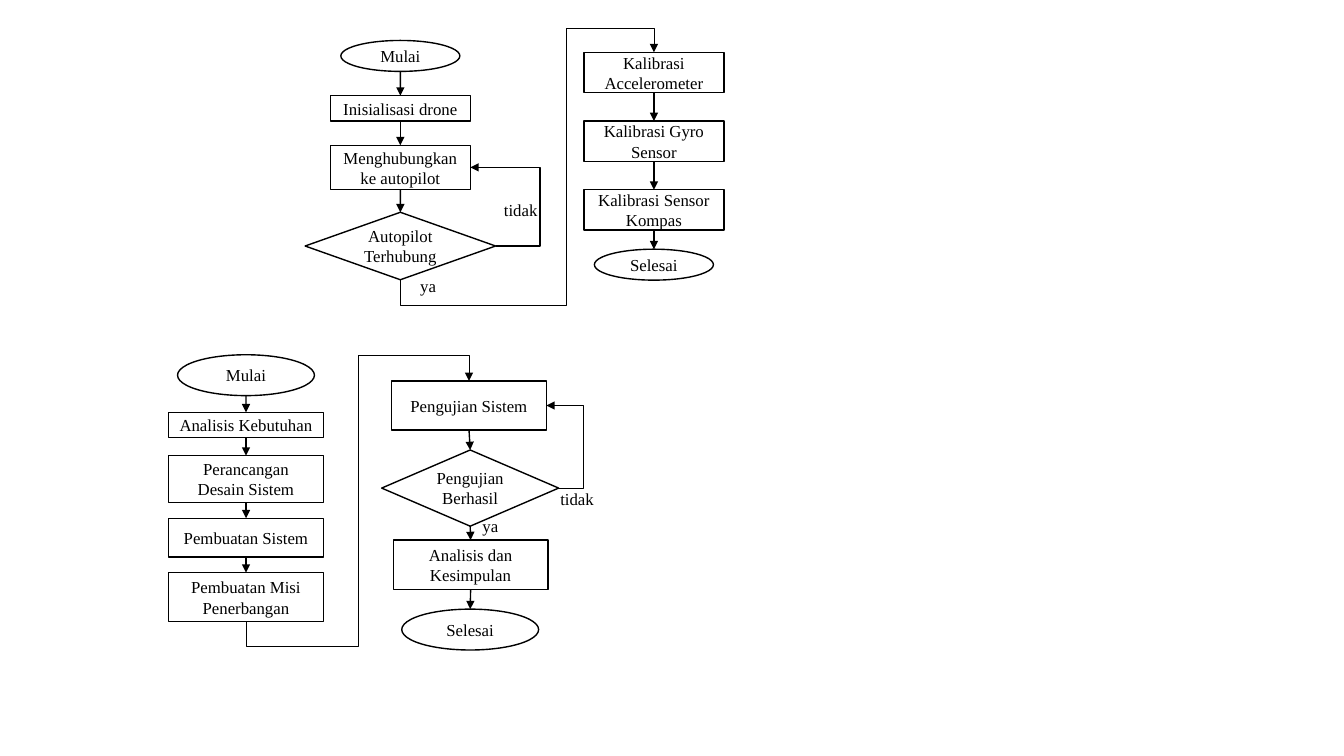
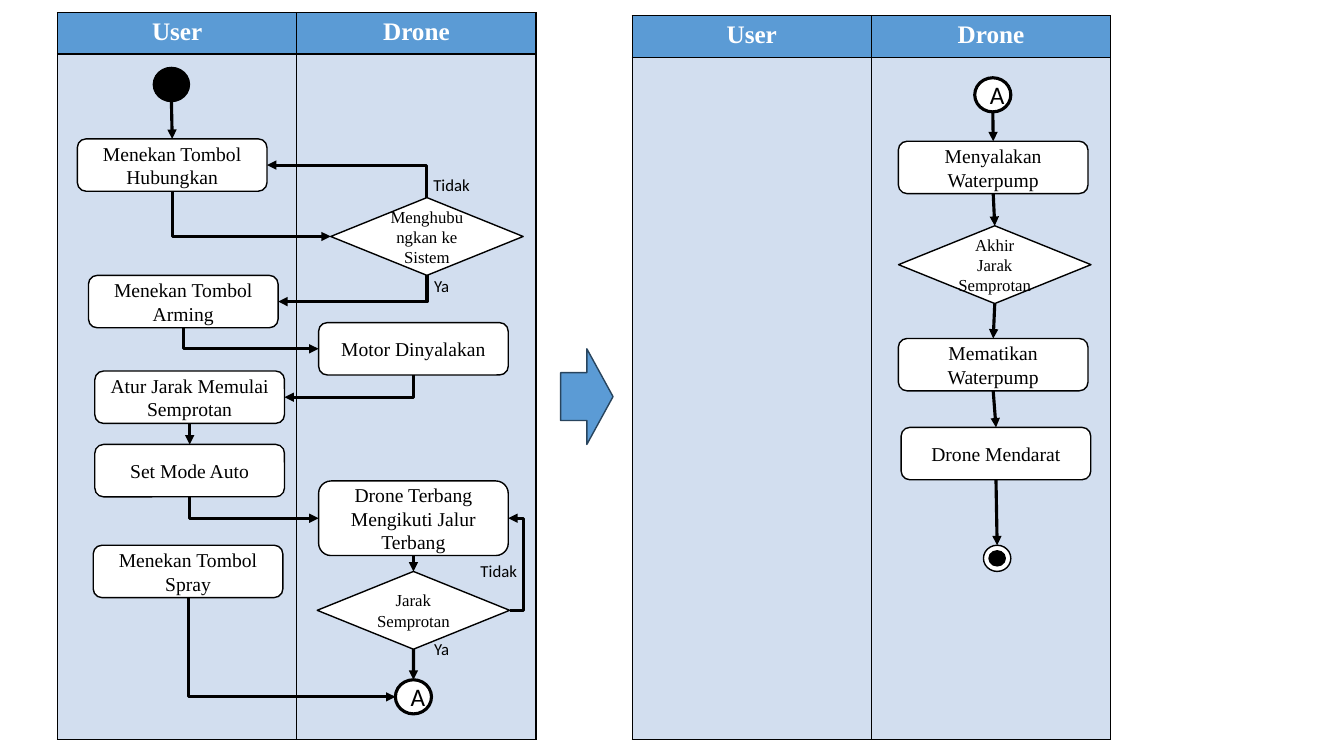
from dataclasses import dataclass
from enum import IntEnum
from itertools import pairwise
from typing import Optional

from lxml.etree import SubElement
from pptx import Presentation
from pptx.dml.color import RGBColor
from pptx.enum.shapes import MSO_CONNECTOR as Route, MSO_SHAPE as Preset
from pptx.enum.text import MSO_ANCHOR as Anchor, MSO_AUTO_SIZE as AutoSize, PP_ALIGN as Align
from pptx.oxml import parse_xml
from pptx.oxml.ns import nsdecls, qn
from pptx.util import Cm, Pt

BLACK = RGBColor(0x00, 0x00, 0x00)
WHITE = RGBColor(0xFF, 0xFF, 0xFF)
BLUE = RGBColor(0x5B, 0x9B, 0xD5)
PALE_BLUE = RGBColor(0xD2, 0xDE, 0xEF)
DARK_BLUE = RGBColor(0x28, 0x44, 0x5D)
SERIF = "Times New Roman"
SANS = "Calibri"


class Side(IntEnum):
    TOP = 0
    LEFT = 1
    BOTTOM = 2
    RIGHT = 3


@dataclass(frozen=True)
class Style:
    preset: Preset
    width: float
    height: float
    size: int = 12
    font: str = SERIF
    fill: Optional[RGBColor] = WHITE
    outline: RGBColor = BLACK
    weight: float = 1


@dataclass(frozen=True)
class Node:
    name: str
    style: Style
    center: float
    top: float
    text: str = ""
    height: Optional[float] = None


@dataclass(frozen=True)
class Link:
    source: str
    target: str
    start: Side = Side.BOTTOM
    end: Side = Side.TOP
    weight: float = 1
    via: tuple = ()


@dataclass(frozen=True)
class Label:
    text: str
    left: float
    top: float
    width: float
    font: str = SERIF


@dataclass(frozen=True)
class Lanes:
    left: float
    top: float
    body_height: float


TERMINAL = Style(Preset.OVAL, 3, 0.78, fill=None)
STEP = Style(Preset.RECTANGLE, 3.53, 1.02, fill=None)
CHECK = Style(Preset.DIAMOND, 4.8, 1.7, fill=None)
WIDE_TERMINAL = Style(Preset.OVAL, 3.45, 1.03, fill=None)
WIDE_STEP = Style(Preset.RECTANGLE, 3.9, 1.24, fill=None)
WIDE_CHECK = Style(Preset.DIAMOND, 4.46, 1.92, fill=None)
ACTION = Style(Preset.ROUNDED_RECTANGLE, 4.78, 1.32, size=14)
DECISION = Style(Preset.DIAMOND, 4.85, 1.96)
START = Style(Preset.OVAL, 0.91, 0.86, fill=BLACK)
JUNCTION = Style(Preset.OVAL, 0.91, 0.86, size=18, font=SANS, weight=2.25)
END_RING = Style(Preset.OVAL, 0.69, 0.66)
END_DOT = Style(Preset.OVAL, 0.41, 0.38, fill=BLACK)
NEXT_ARROW = Style(Preset.RIGHT_ARROW, 1.32, 2.41, fill=BLUE, outline=DARK_BLUE)

FLOW_NODES = [
    Node("drone start", TERMINAL, 10.09, 1.02, "Mulai"),
    Node("initialise", STEP, 10.09, 2.41, "Inisialisasi drone", 0.64),
    Node("connect", STEP, 10.09, 3.66, "Menghubungkan ke autopilot", 1.12),
    Node("connected", CHECK, 10.09, 5.35, "Autopilot Terhubung"),
    *[Node(name, STEP, 16.48, 1.32 + 1.73 * row, f"Kalibrasi {name}")
      for row, name in enumerate(["Accelerometer", "Gyro Sensor", "Sensor Kompas"])],
    Node("drone end", TERMINAL, 16.48, 6.28, "Selesai"),
    Node("research start", WIDE_TERMINAL, 6.2, 8.94, "Mulai"),
    Node("needs", WIDE_STEP, 6.2, 10.39, "Analisis Kebutuhan", 0.64),
    Node("design", WIDE_STEP, 6.2, 11.48, "Perancangan Desain Sistem", 1.18),
    Node("build", WIDE_STEP, 6.2, 13.06, "Pembuatan Sistem", 0.98),
    Node("mission", WIDE_STEP, 6.2, 14.43, "Pembuatan Misi Penerbangan"),
    Node("test", WIDE_STEP, 11.82, 9.6, "Pengujian Sistem"),
    Node("passed", WIDE_CHECK, 11.85, 11.34, "Pengujian Berhasil"),
    Node("conclusion", WIDE_STEP, 11.86, 13.61, "Analisis dan Kesimpulan"),
    Node("research end", WIDE_TERMINAL, 11.85, 15.35, "Selesai"),
]
FLOW_CHAINS = [
    ["drone start", "initialise", "connect", "connected"],
    ["Accelerometer", "Gyro Sensor", "Sensor Kompas", "drone end"],
    ["research start", "needs", "design", "build", "mission"],
    ["test", "passed", "conclusion", "research end"],
]
FLOW_ELBOWS = [
    Link("connected", "connect", Side.RIGHT, Side.RIGHT, 1, (13.61,)),
    Link("connected", "Accelerometer", weight=0.5, via=(7.7, 14.27, 0.71)),
    Link("mission", "test", weight=0.5, via=(16.3, 9.02, 8.97)),
    Link("passed", "test", Side.RIGHT, Side.RIGHT, 0.75, (14.71,)),
]
FLOW_LABELS = [
    Label("ya", 10.34, 6.83, 1.24),
    Label("tidak", 12.45, 4.9, 1.45),
    Label("ya", 11.91, 12.88, 1.24),
    Label("tidak", 13.87, 12.19, 1.45),
]

LANES = [Lanes(1.45, 0.32, 17.27), Lanes(15.93, 0.4, 17.2)]
ACTIVITY_NODES = [
    Node("start", START, 4.32, 1.7),
    Node("press connect", ACTION, 4.34, 3.5, "Menekan Tombol Hubungkan"),
    Node("connecting", DECISION, 10.76, 4.98, "Menghubungkan ke Sistem"),
    Node("arming", ACTION, 4.62, 6.94, "Menekan Tombol Arming"),
    Node("motor", ACTION, 10.42, 8.13, "Motor Dinyalakan"),
    Node("set distance", ACTION, 4.78, 9.35, "Atur Jarak Memulai Semprotan"),
    Node("auto mode", ACTION, 4.78, 11.2, "Set Mode Auto"),
    Node("press spray", ACTION, 4.74, 13.74, "Menekan Tombol Spray"),
    Node("flying", ACTION, 10.42, 12.12, "Drone Terbang Mengikuti Jalur Terbang", 1.88),
    Node("spray distance", DECISION, 10.42, 14.4, "Jarak Semprotan"),
    Node("junction out", JUNCTION, 10.42, 17.13, "A"),
    Node("next", NEXT_ARROW, 14.79, 8.79),
    Node("junction in", JUNCTION, 25.02, 1.96, "A"),
    Node("pump on", ACTION, 25.03, 3.56, "Menyalakan Waterpump"),
    Node("spray end", DECISION, 25.07, 5.69, "Akhir Jarak Semprotan"),
    Node("pump off", ACTION, 25.03, 8.53, "Mematikan Waterpump"),
    Node("landing", ACTION, 25.1, 10.77, "Drone Mendarat"),
    Node("end", END_RING, 25.13, 13.74),
    Node("end dot", END_DOT, 25.13, 13.88),
]
ACTIVITY_CHAINS = [
    ["start", "press connect"],
    ["set distance", "auto mode"],
    ["flying", "spray distance", "junction out"],
    ["junction in", "pump on", "spray end", "pump off", "landing", "end"],
]
ACTIVITY_ELBOWS = [
    Link("press connect", "connecting", Side.BOTTOM, Side.LEFT, 2.25),
    Link("connecting", "press connect", Side.TOP, Side.RIGHT, 2.25),
    Link("connecting", "arming", Side.BOTTOM, Side.RIGHT, 2.25),
    Link("arming", "motor", Side.BOTTOM, Side.LEFT, 2.25),
    Link("motor", "set distance", Side.BOTTOM, Side.RIGHT, 2.25),
    Link("auto mode", "flying", Side.BOTTOM, Side.LEFT, 2.25),
    Link("press spray", "junction out", Side.BOTTOM, Side.LEFT, 2.25),
    Link("spray distance", "flying", Side.RIGHT, Side.RIGHT, 2.25, (13.19,)),
]
ACTIVITY_LABELS = [
    Label("Tidak", 10.67, 4.27, 2.08, SANS),
    Label("Ya", 10.69, 6.83, 2.08, SANS),
    Label("Ya", 10.69, 15.98, 2.08, SANS),
    Label("Tidak", 11.86, 14, 2.08, SANS),
]


def format_text(text_frame, font: str, size: int, color=BLACK, bold=False, align=Align.LEFT) -> None:
    for paragraph in text_frame.paragraphs:
        paragraph.alignment = align
        for run in paragraph.runs:
            run.font.name = font
            run.font.size = Pt(size)
            run.font.bold = bold
            run.font.color.rgb = color


def draw_node(slide, node: Node):
    style = node.style
    shape = slide.shapes.add_shape(
        style.preset, Cm(node.center - style.width / 2), Cm(node.top),
        Cm(style.width), Cm(node.height or style.height))
    shape.shadow.inherit = False
    if style.fill is None:
        shape.fill.background()
    else:
        shape.fill.solid()
        shape.fill.fore_color.rgb = style.fill
    shape.line.color.rgb = style.outline
    shape.line.width = Pt(style.weight)
    if node.text:
        shape.text_frame.text = node.text
        shape.text_frame.word_wrap = True
        shape.text_frame.vertical_anchor = Anchor.MIDDLE
        format_text(shape.text_frame, style.font, style.size, align=Align.CENTER)
    return shape


def side_middle(shape, side: Side) -> tuple[int, int]:
    across = {Side.LEFT: 0, Side.RIGHT: 2}.get(side, 1)
    down = {Side.TOP: 0, Side.BOTTOM: 2}.get(side, 1)
    return shape.left + shape.width * across // 2, shape.top + shape.height * down // 2


def bend(connector, begin: tuple, end: tuple, vertical: bool, via: tuple) -> None:
    delta = [end[0] - begin[0], end[1] - begin[1]]
    axes = (1, 0) if vertical else (0, 1)
    along, aside = (delta[axis] for axis in axes)
    xfrm = connector._element.spPr.find(qn("a:xfrm"))
    connector.width, connector.height = abs(along), abs(aside)
    connector.left = (begin[0] + end[0] - connector.width) // 2
    connector.top = (begin[1] + end[1] - connector.height) // 2
    if vertical:
        xfrm.set("rot", "5400000")
    xfrm.set("flipH", str(int(along < 0)))
    xfrm.set("flipV", str(int(aside > 0 if vertical else aside < 0)))
    geometry = connector._element.spPr.find(qn("a:prstGeom"))
    geometry.set("prst", f"bentConnector{len(via) + 2}")
    adjustments = geometry.find(qn("a:avLst"))
    for index, position in enumerate(via):
        axis = axes[index % 2]
        ratio = round((Cm(position) - begin[axis]) / delta[axis] * 100000)
        SubElement(adjustments, qn("a:gd"), name=f"adj{index + 1}", fmla=f"val {ratio}")


def draw_link(slide, shapes: dict, link: Link, elbow: bool) -> None:
    source, target = shapes[link.source], shapes[link.target]
    begin, end = side_middle(source, link.start), side_middle(target, link.end)
    connector = slide.shapes.add_connector(Route.ELBOW if elbow else Route.STRAIGHT, *begin, *end)
    connector.begin_connect(source, int(link.start))
    connector.end_connect(target, int(link.end))
    for tag, shape, side in (("a:stCxn", source, link.start), ("a:endCxn", target, link.end)):
        if shape.auto_shape_type == Preset.OVAL:
            next(connector._element.iter(qn(tag))).set("idx", str(side * 2))
    if elbow:
        bend(connector, begin, end, link.start in (Side.TOP, Side.BOTTOM), link.via)
    connector.line.color.rgb = BLACK
    connector.line.width = Pt(link.weight)
    properties = connector._element.spPr
    SubElement(properties.find(qn("a:ln")), qn("a:tailEnd"), type="triangle")
    SubElement(properties, qn("a:effectLst"))


def draw_label(slide, label: Label) -> None:
    box = slide.shapes.add_textbox(Cm(label.left), Cm(label.top), Cm(label.width), Cm(0.77))
    box.text_frame.word_wrap = True
    box.text_frame.auto_size = AutoSize.SHAPE_TO_FIT_TEXT
    box.text_frame.text = label.text
    format_text(box.text_frame, label.font, 12)


def draw_lanes(slide, lanes: Lanes) -> None:
    heights = (1.04, lanes.body_height)
    table = slide.shapes.add_table(
        2, 2, Cm(lanes.left), Cm(lanes.top), Cm(12.06), Cm(sum(heights))).table
    for row, height in zip(table.rows, heights):
        row.height = Cm(height)
    for column, title in enumerate(("User", "Drone")):
        table.columns[column].width = Cm(6.03)
        header = table.cell(0, column)
        header.text_frame.text = title
        format_text(header.text_frame, SERIF, 18, WHITE, True, Align.CENTER)
        for row, color in enumerate((BLUE, PALE_BLUE)):
            cell = table.cell(row, column)
            cell.fill.solid()
            cell.fill.fore_color.rgb = color
            for index, edge in enumerate("LRTB"):
                cell._tc.get_or_add_tcPr().insert(index, parse_xml(
                    f'<a:ln{edge} {nsdecls("a")} w="{Pt(1)}"><a:solidFill>'
                    f'<a:srgbClr val="{BLACK}"/></a:solidFill></a:ln{edge}>'))


def draw_diagram(slide, nodes: list, chains: list, elbows: list, labels: list, weight: float) -> None:
    shapes = {node.name: draw_node(slide, node) for node in nodes}
    for chain in chains:
        for source, target in pairwise(chain):
            draw_link(slide, shapes, Link(source, target, weight=weight), False)
    for link in elbows:
        draw_link(slide, shapes, link, True)
    for label in labels:
        draw_label(slide, label)


def main() -> None:
    presentation = Presentation()
    presentation.slide_width, presentation.slide_height = Cm(33.87), Cm(19.05)
    blank = presentation.slide_layouts[6]
    flow_slide = presentation.slides.add_slide(blank)
    draw_diagram(flow_slide, FLOW_NODES, FLOW_CHAINS, FLOW_ELBOWS, FLOW_LABELS, 1)
    activity_slide = presentation.slides.add_slide(blank)
    for lanes in LANES:
        draw_lanes(activity_slide, lanes)
    draw_diagram(activity_slide, ACTIVITY_NODES, ACTIVITY_CHAINS, ACTIVITY_ELBOWS, ACTIVITY_LABELS, 2.25)
    presentation.save("out.pptx")


if __name__ == "__main__":
    main()
